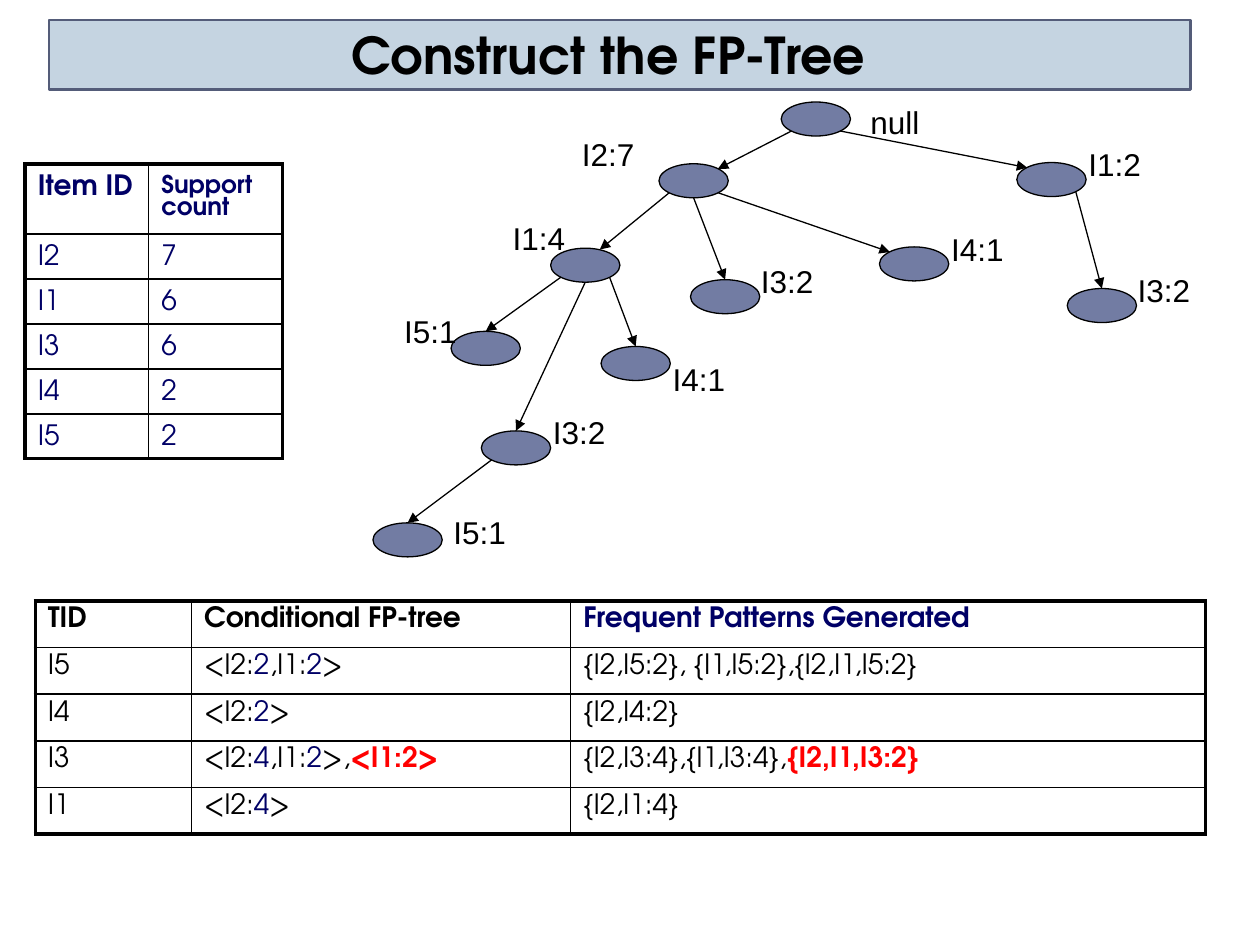
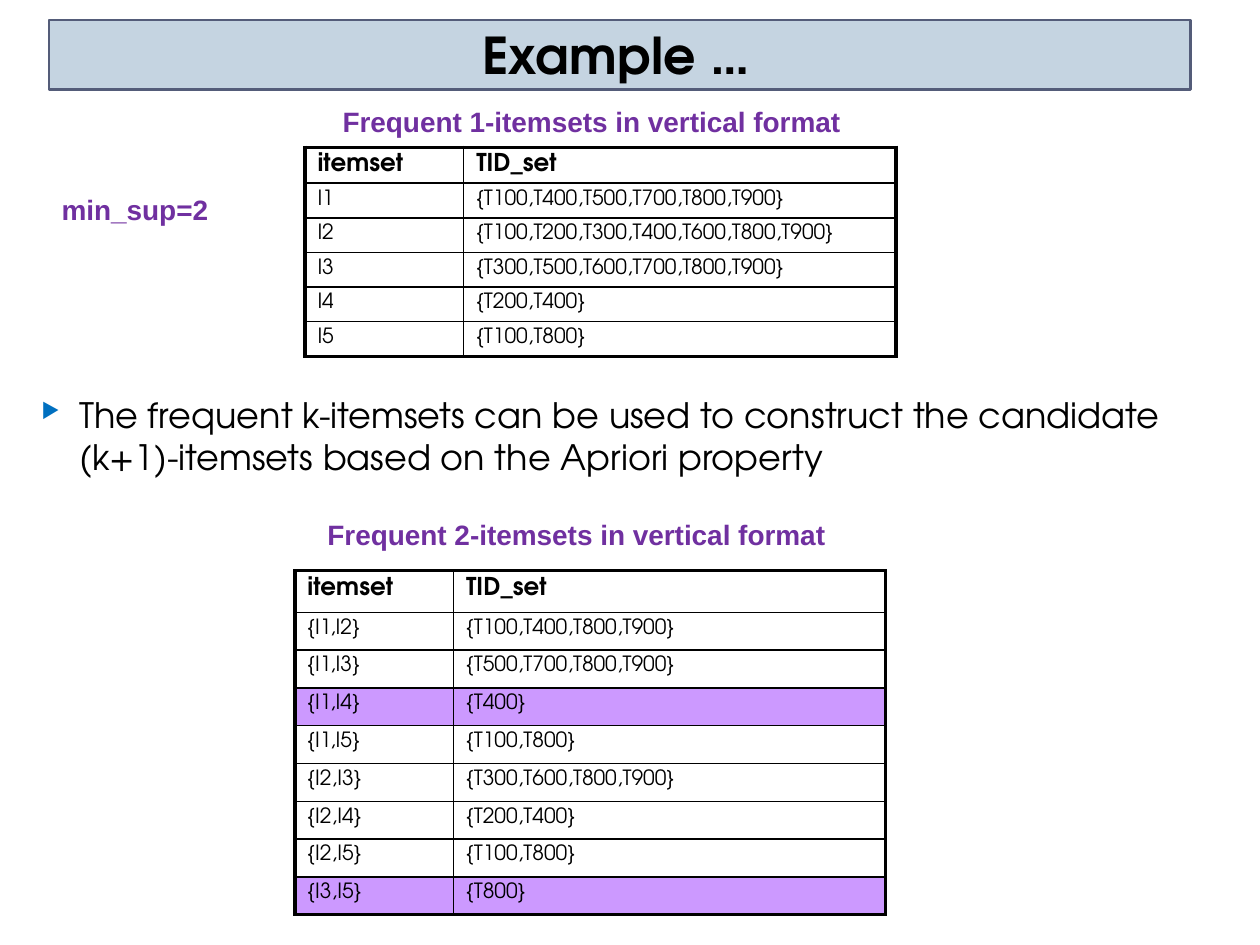
from dataclasses import dataclass

from lxml import etree
from pptx import Presentation
from pptx.dml.color import RGBColor
from pptx.enum.shapes import MSO_CONNECTOR, MSO_SHAPE
from pptx.enum.text import MSO_ANCHOR, PP_ALIGN
from pptx.oxml import parse_xml
from pptx.oxml.ns import nsdecls, qn
from pptx.util import Inches, Pt

STRAIGHT = MSO_CONNECTOR.STRAIGHT
RECTANGLE = MSO_SHAPE.RECTANGLE
OVAL = MSO_SHAPE.OVAL
BOTTOM = MSO_ANCHOR.BOTTOM
TOP = MSO_ANCHOR.TOP
CENTER = PP_ALIGN.CENTER
LEFT = PP_ALIGN.LEFT


@dataclass(frozen=True)
class Theme:
    """Fonts, colours and sizes shared by the slides."""
    heading_font: str = "TeX Gyre Adventor"
    label_font: str = "Arial"
    black: str = "000000"
    navy: str = "000066"
    red: str = "FF0000"
    purple: str = "7030A0"
    highlight: str = "CC99FF"
    node: str = "727CA3"
    band: str = "C5D4E1"
    band_line: str = "545C79"
    bullet: str = "0070C0"
    title_size: float = 29
    body_size: float = 20
    label_size: float = 18
    large_size: float = 16
    header_size: float = 14
    small_size: float = 12
    outer_line: float = 2.25
    inner_line: float = 1
    thin_line: float = 0.75


THEME = Theme()


@dataclass(frozen=True)
class Style:
    """Look of one run of text."""
    size: float
    color: str = THEME.black
    bold: bool = False
    font: str = THEME.heading_font


TITLE = Style(THEME.title_size, bold=True)
BODY = Style(THEME.body_size)
NODE_LABEL = Style(THEME.label_size, font=THEME.label_font)
CAPTION = Style(THEME.large_size, THEME.purple, True, THEME.label_font)
LARGE = Style(THEME.large_size)
LARGE_BOLD = Style(THEME.large_size, bold=True)
LARGE_NAVY = Style(THEME.large_size, THEME.navy)
LARGE_NAVY_BOLD = Style(THEME.large_size, THEME.navy, True)
LARGE_RED = Style(THEME.large_size, THEME.red, True)
HEADER = Style(THEME.header_size, bold=True)
HEADER_NAVY = Style(THEME.header_size, THEME.navy, True)
SMALL = Style(THEME.small_size)

NODE_W, NODE_H = 0.55, 0.27
SITES = {
    "top": (0.5, 0), "top left": (0.15, 0.15), "top right": (0.85, 0.15),
    "upper right": (0.71, 0.04), "bottom": (0.5, 1),
    "bottom left": (0.15, 0.85), "bottom right": (0.85, 0.85),
}
TREE_NODES = {
    "root": (6.2, 0.81, "null", 6.81, 0.77),
    "I2": (5.23, 1.3, "I2:7", 4.52, 1.02),
    "I1": (8.07, 1.29, "I1:2", 8.54, 1.1),
    "I2 I1": (4.37, 1.97, "I1:4", 3.97, 1.69),
    "I2 I3": (5.48, 2.22, "I3:2", 5.94, 2.03),
    "I2 I4": (6.98, 1.96, "I4:1", 7.45, 1.78),
    "I1 I3": (8.47, 2.29, "I3:2", 8.93, 2.1),
    "I2 I1 I5": (3.58, 2.63, "I5:1", 3.11, 2.43),
    "I2 I1 I4": (4.77, 2.75, "I4:1", 5.24, 2.81),
    "I2 I1 I3": (3.82, 3.42, "I3:2", 4.29, 3.23),
    "I2 I1 I3 I5": (2.96, 4.15, "I5:1", 3.5, 4.02),
}
TREE_EDGES = [
    ("root", "bottom left", "I2", "top right"),
    ("root", "bottom right", "I1", "top left"),
    ("I2", "bottom left", "I2 I1", "upper right"),
    ("I2", "bottom", "I2 I3", "top"),
    ("I2", "bottom right", "I2 I4", "top left"),
    ("I1", "bottom right", "I1 I3", "top"),
    ("I2 I1", "bottom left", "I2 I1 I5", "top"),
    ("I2 I1", "bottom right", "I2 I1 I4", "top"),
    ("I2 I1", "bottom", "I2 I1 I3", "top"),
    ("I2 I1 I3", "bottom left", "I2 I1 I3 I5", "top"),
]
SUPPORT_COUNTS = [("I2", "7"), ("I1", "6"), ("I3", "6"), ("I4", "2"), ("I5", "2")]
ONE_ITEMSETS = [
    ("I1", "{T100,T400,T500,T700,T800,T900}"),
    ("I2", "{T100,T200,T300,T400,T600,T800,T900}"),
    ("I3", "{T300,T500,T600,T700,T800,T900}"),
    ("I4", "{T200,T400}"),
    ("I5", "{T100,T800}"),
]
TWO_ITEMSETS = [
    ("{I1,I2}", "{T100,T400,T800,T900}"),
    ("{I1,I3}", "{T500,T700,T800,T900}"),
    ("{I1,I4}", "{T400}"),
    ("{I1,I5}", "{T100,T800}"),
    ("{I2,I3}", "{T300,T600,T800,T900}"),
    ("{I2,I4}", "{T200,T400}"),
    ("{I2,I5}", "{T100,T800}"),
    ("{I3,I5}", "{T800}"),
]
ITEMSET_HEADER = [[("itemset", HEADER)], [("TID_set", HEADER)]]
ITEMSET_COLUMNS = [1.26, 3.43]


def add_runs(paragraph, runs):
    """Add (text, style) runs to a paragraph."""
    for text, style in runs:
        run = paragraph.add_run()
        run.text = text
        run.font.name = style.font
        run.font.size = Pt(style.size)
        run.font.bold = style.bold
        run.font.color.rgb = RGBColor.from_string(style.color)


def add_text(slide, box, text, style, wrap=False, anchor=TOP, align=LEFT):
    """Add a one-paragraph text box and return its paragraph."""
    frame = slide.shapes.add_textbox(*map(Inches, box)).text_frame
    frame.word_wrap = wrap
    frame.vertical_anchor = anchor
    paragraph = frame.paragraphs[0]
    paragraph.alignment = align
    add_runs(paragraph, [(text, style)])
    return paragraph


def add_filled(slide, preset, box, fill, line, width):
    """Add a preset shape with a solid fill and outline."""
    shape = slide.shapes.add_shape(preset, *map(Inches, box))
    shape.shadow.inherit = False
    shape.fill.solid()
    shape.fill.fore_color.rgb = RGBColor.from_string(fill)
    shape.line.color.rgb = RGBColor.from_string(line)
    shape.line.width = Pt(width)


def add_title_slide(deck, title, left, top, height):
    """Add a blank slide with the title band."""
    slide = deck.slides.add_slide(deck.slide_layouts[6])
    add_filled(slide, RECTANGLE, (0.39, 0.16, 9.06, 0.55),
               THEME.band, THEME.band_line, 1.5)
    add_text(slide, (left, top, 9, height), title, TITLE, True, BOTTOM, CENTER)
    return slide


def add_bullet(slide, box, text):
    """Add a paragraph with a triangle bullet."""
    paragraph = add_text(slide, box, text, BODY, wrap=True)
    properties = paragraph._p.get_or_add_pPr()
    properties.set("marL", str(Inches(0.3)))
    properties.set("indent", str(Inches(-0.3)))
    color = etree.SubElement(properties, qn("a:buClr"))
    etree.SubElement(color, qn("a:srgbClr"), val=THEME.bullet)
    etree.SubElement(properties, qn("a:buSzPct"), val="60000")
    etree.SubElement(properties, qn("a:buChar"), char="▶")


def add_arrow(slide, start, end):
    """Add a thin line with a triangle head at its end."""
    arrow = slide.shapes.add_connector(STRAIGHT, *map(Inches, (*start, *end)))
    arrow.line.color.rgb = RGBColor.from_string(THEME.black)
    arrow.line.width = Pt(THEME.thin_line)
    etree.SubElement(arrow.line._get_or_add_ln(), qn("a:tailEnd"), type="triangle")
    etree.SubElement(arrow._element.spPr, qn("a:effectLst"))


def set_borders(cell, at_left, at_right, at_top, at_bottom):
    """Draw heavy borders on table edges and fine ones inside."""
    properties = cell._tc.get_or_add_tcPr()
    edges = (("L", at_left), ("R", at_right), ("T", at_top), ("B", at_bottom))
    for position, (side, is_outer) in enumerate(edges):
        width = Pt(THEME.outer_line if is_outer else THEME.inner_line)
        properties.insert(position, parse_xml(
            f'<a:ln{side} {nsdecls("a")} w="{width}"><a:solidFill>'
            f'<a:srgbClr val="{THEME.black}"/></a:solidFill></a:ln{side}>'))


def add_grid(slide, left, top, columns, heights, rows, inset=0.05):
    """Add a bordered table whose cells are lists of runs."""
    table = slide.shapes.add_table(
        len(rows), len(columns), Inches(left), Inches(top),
        Inches(sum(columns)), Inches(sum(heights))).table
    table.first_row = table.horz_banding = False
    for column, width in zip(table.columns, columns):
        column.width = Inches(width)
    for r, (cells, height) in enumerate(zip(rows, heights)):
        table.rows[r].height = Inches(height)
        for c, runs in enumerate(cells):
            cell = table.cell(r, c)
            cell.fill.background()
            cell.margin_top = Inches(inset)
            cell.margin_bottom = 0
            paragraph = cell.text_frame.paragraphs[0]
            paragraph.space_before = Pt(6)
            add_runs(paragraph, runs)
            set_borders(cell, c == 0, c == len(columns) - 1,
                        r == 0, r == len(rows) - 1)


def plain_rows(records, style):
    """Turn rows of strings into rows of single-run cells."""
    return [[[(text, style)] for text in record] for record in records]


def counted(*parts):
    """Alternate black text with navy counts."""
    return [(text, LARGE_NAVY if i % 2 else LARGE) for i, text in enumerate(parts)]


def node_site(node, site):
    """Return the point of a named site on a tree node."""
    x, y = TREE_NODES[node][:2]
    across, down = SITES[site]
    return x + across * NODE_W, y + down * NODE_H


def add_tree(slide):
    """Draw the FP-tree with its labels and arrows."""
    for x, y, label, label_x, label_y in TREE_NODES.values():
        add_filled(slide, OVAL, (x, y, NODE_W, NODE_H),
                   THEME.node, THEME.black, THEME.thin_line)
        add_text(slide, (label_x, label_y, 0.62, 0.4), label, NODE_LABEL)
    for parent, exit_site, child, entry_site in TREE_EDGES:
        add_arrow(slide, node_site(parent, exit_site), node_site(child, entry_site))


def build_tree_slide(deck):
    """Build the slide with the FP-tree and its patterns."""
    slide = add_title_slide(deck, "Construct the FP-Tree", 0.33, 0.21, 0.51)
    support_header = [[("Item ID", LARGE_NAVY_BOLD)], [("Support count", HEADER_NAVY)]]
    add_grid(slide, 0.2, 1.3, [0.98, 1.06], [0.48] + [0.31] * 5,
             [support_header] + plain_rows(SUPPORT_COUNTS, LARGE_NAVY), 0.09)
    add_tree(slide)
    patterns = [
        [[("TID", LARGE_BOLD)], [("Conditional FP-tree", LARGE_BOLD)],
         [("Frequent Patterns Generated", LARGE_NAVY_BOLD)]],
        [counted("I5"), counted("<I2:", "2", ",I1:", "2", ">"),
         counted("{I2,I5:2}, {I1,I5:2},{I2,I1,I5:2}")],
        [counted("I4"), counted("<I2:", "2", ">"), counted("{I2,I4:2}")],
        [counted("I3"),
         counted("<I2:", "4", ",I1:", "2", ">,") + [("<I1:2>", LARGE_RED)],
         counted("{I2,I3:4},{I1,I3:4},") + [("{I2,I1,I3:2}", LARGE_RED)]],
        [counted("I1"), counted("<I2:", "4", ">"), counted("{I2,I1:4}")],
    ]
    add_grid(slide, 0.28, 4.77, [1.24, 3.01, 5.04], [0.37] * 5, patterns)


def build_itemset_slide(deck):
    """Build the slide with itemsets in vertical format."""
    slide = add_title_slide(deck, "Example …", 0.39, 0.17, 0.55)
    add_bullet(slide, (0.23, 3.07, 9.34, 0.91),
               "The frequent k-itemsets can be used to construct the candidate "
               "(k+1)-itemsets based on the Apriori property")
    add_grid(slide, 2.42, 1.17, ITEMSET_COLUMNS, [1.65 / 6] * 6,
             [ITEMSET_HEADER] + plain_rows(ONE_ITEMSETS, SMALL))
    add_text(slide, (2.62, 0.78, 4.21, 0.37),
             "Frequent 1-itemsets in vertical format", CAPTION)
    add_text(slide, (0.39, 1.48, 1.38, 0.37), "min_sup=2", CAPTION)
    add_text(slide, (2.5, 4.06, 4.21, 0.37),
             "Frequent 2-itemsets in vertical format", CAPTION)
    table_top, header_height, row_height = 4.53, 0.33, 0.3
    for row in (2, 7):
        row_top = table_top + header_height + row * row_height
        add_filled(slide, RECTANGLE, (2.34, row_top, 4.69, row_height),
                   THEME.highlight, THEME.black, THEME.thin_line)
    add_grid(slide, 2.34, table_top, ITEMSET_COLUMNS,
             [header_height] + [row_height] * 8,
             [ITEMSET_HEADER] + plain_rows(TWO_ITEMSETS, SMALL))


def main():
    """Build and save the deck."""
    deck = Presentation()
    deck.slide_width, deck.slide_height = Inches(10), Inches(7.5)
    build_tree_slide(deck)
    build_itemset_slide(deck)
    deck.save("out.pptx")


if __name__ == "__main__":
    main()
